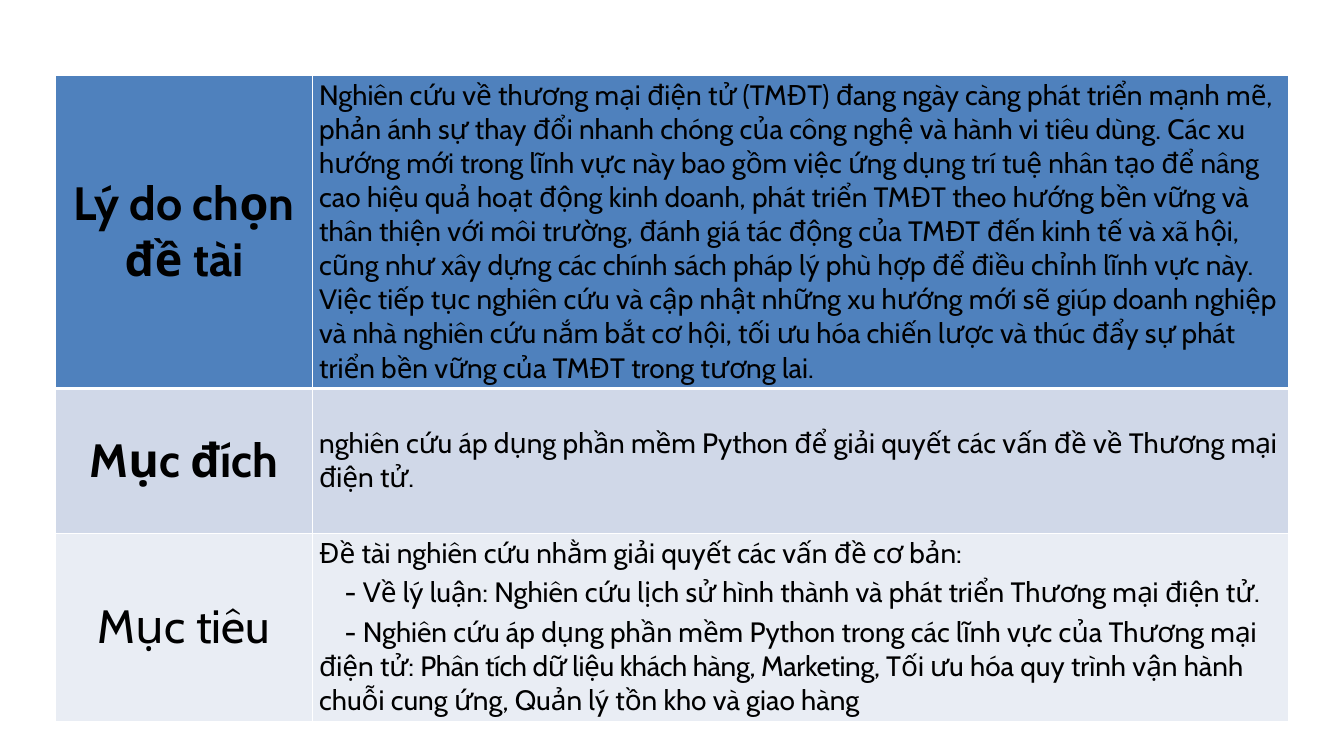
from pptx import Presentation
from pptx.dml.color import RGBColor
from pptx.enum.text import MSO_ANCHOR, PP_ALIGN
from pptx.oxml.ns import qn
from pptx.util import Inches, Pt
from lxml.etree import SubElement

# Content: label, label is bold, paragraphs; a paragraph is a list of (text, spacing) spans
ROWS = [
    ("Lý do chọn đề tài", True, [[(
        "Nghiên cứu về thương mại điện tử (TMĐT) đang ngày càng phát triển mạnh mẽ, "
        "phản ánh sự thay đổi nhanh chóng của công nghệ và hành vi tiêu dùng. Các xu "
        "hướng mới trong lĩnh vực này bao gồm việc ứng dụng trí tuệ nhân tạo để nâng "
        "cao hiệu quả hoạt động kinh doanh, phát triển TMĐT theo hướng bền vững và "
        "thân thiện với môi trường, đánh giá tác động của TMĐT đến kinh tế và xã hội, "
        "cũng như xây dựng các chính sách pháp lý phù hợp để điều chỉnh lĩnh vực này. "
        "Việc tiếp tục nghiên cứu và cập nhật những xu hướng mới sẽ giúp doanh nghiệp "
        "và nhà nghiên cứu nắm bắt cơ hội, tối ưu hóa chiến lược và thúc đẩy sự phát "
        "triển bền vững của TMĐT trong tương lai.", 0)]]),
    ("Mục đích", True, [[(
        "nghiên cứu áp dụng phần mềm Python để giải quyết các vấn đề về "
        "Thương mại điện tử.", 0)]]),
    ("Mục tiêu", False, [
        [("Đề tài nghiên cứu nhằm giải quyết các vấn đề cơ bản:", 0)],
        [("- Về lý luận: Nghiên cứu lịch sử hình thành và phát triển "
          "Thương mại điện tử.", 0)],
        [("- Nghiên cứu áp dụng phần mềm Python trong các lĩnh vực của "
          "Thương mại điện tử: ", 0),
         ("Phân tích dữ liệu khách hàng, Marketing, ", -0.4),
         ("Tối ưu hóa quy trình vận hành chuỗi cung ứng, "
          "Quản lý tồn kho và giao hàng", 0)],
    ]),
]

THEME = {
    "font": "Cabin", "text": "000000", "border": "FFFFFF",
    "fills": ["4F81BD", "D0D8E8", "E9EDF4"],
    "label_size": 50, "body_size": 30,
}
COLUMN_WIDTHS = [3.82, 14.52]
ROW_HEIGHT = 2.15
TABLE_HEIGHT = 9.51


def add_span(para, text, size, bold=False, spacing=0):
    span = para.add_run()
    span.text = text
    span.font.name = THEME["font"]
    span.font.size = Pt(size)
    span.font.bold = bold
    span.font.color.rgb = RGBColor.from_string(THEME["text"])
    if spacing:
        span.font._element.set("spc", str(int(spacing * 100)))


def style_cell(cell, fill, bottom_width):
    cell.vertical_anchor = MSO_ANCHOR.MIDDLE
    properties = cell._tc.get_or_add_tcPr()
    for side in ("L", "R", "T", "B"):
        width = bottom_width if side == "B" else 1
        line = SubElement(properties, qn(f"a:ln{side}"), w=str(Pt(width)))
        solid = SubElement(line, qn("a:solidFill"))
        SubElement(solid, qn("a:srgbClr"), val=THEME["border"])
    cell.fill.solid()
    cell.fill.fore_color.rgb = RGBColor.from_string(fill)


def fill_label(cell, text, bold):
    para = cell.text_frame.paragraphs[0]
    para.alignment = PP_ALIGN.CENTER
    add_span(para, text, THEME["label_size"], bold)


def fill_body(cell, paragraphs):
    frame = cell.text_frame
    for index, spans in enumerate(paragraphs):
        para = frame.add_paragraph() if index else frame.paragraphs[0]
        if len(paragraphs) > 1:
            para.space_after = Pt(3)
        if index:
            para.space_before = Pt(3)
            properties = para._p.get_or_add_pPr()
            properties.set("marL", "0")
            properties.set("indent", str(Inches(0.38)))
        for text, spacing in spans:
            add_span(para, text, THEME["body_size"], spacing=spacing)


def main():
    deck = Presentation()
    deck.slide_width, deck.slide_height = Inches(20), Inches(11.25)
    page = deck.slides.add_slide(deck.slide_layouts[6])

    # Table of reason, purpose and goals
    holder = page.shapes.add_table(
        len(ROWS), len(COLUMN_WIDTHS), Inches(0.83), Inches(1.12),
        Inches(sum(COLUMN_WIDTHS)), Inches(TABLE_HEIGHT))
    table = holder.table
    for column, width in zip(table.columns, COLUMN_WIDTHS):
        column.width = Inches(width)

    for index, (label, bold, paragraphs) in enumerate(ROWS):
        table.rows[index].height = Inches(ROW_HEIGHT)
        label_cell, body_cell = table.rows[index].cells
        for cell in (label_cell, body_cell):
            style_cell(cell, THEME["fills"][index], 1 if index else 3)
        fill_label(label_cell, label, bold)
        fill_body(body_cell, paragraphs)

    # Rows grow with their text, so the frame is taller than their minimum
    holder.height = Inches(TABLE_HEIGHT)
    deck.save("out.pptx")


if __name__ == "__main__":
    main()
